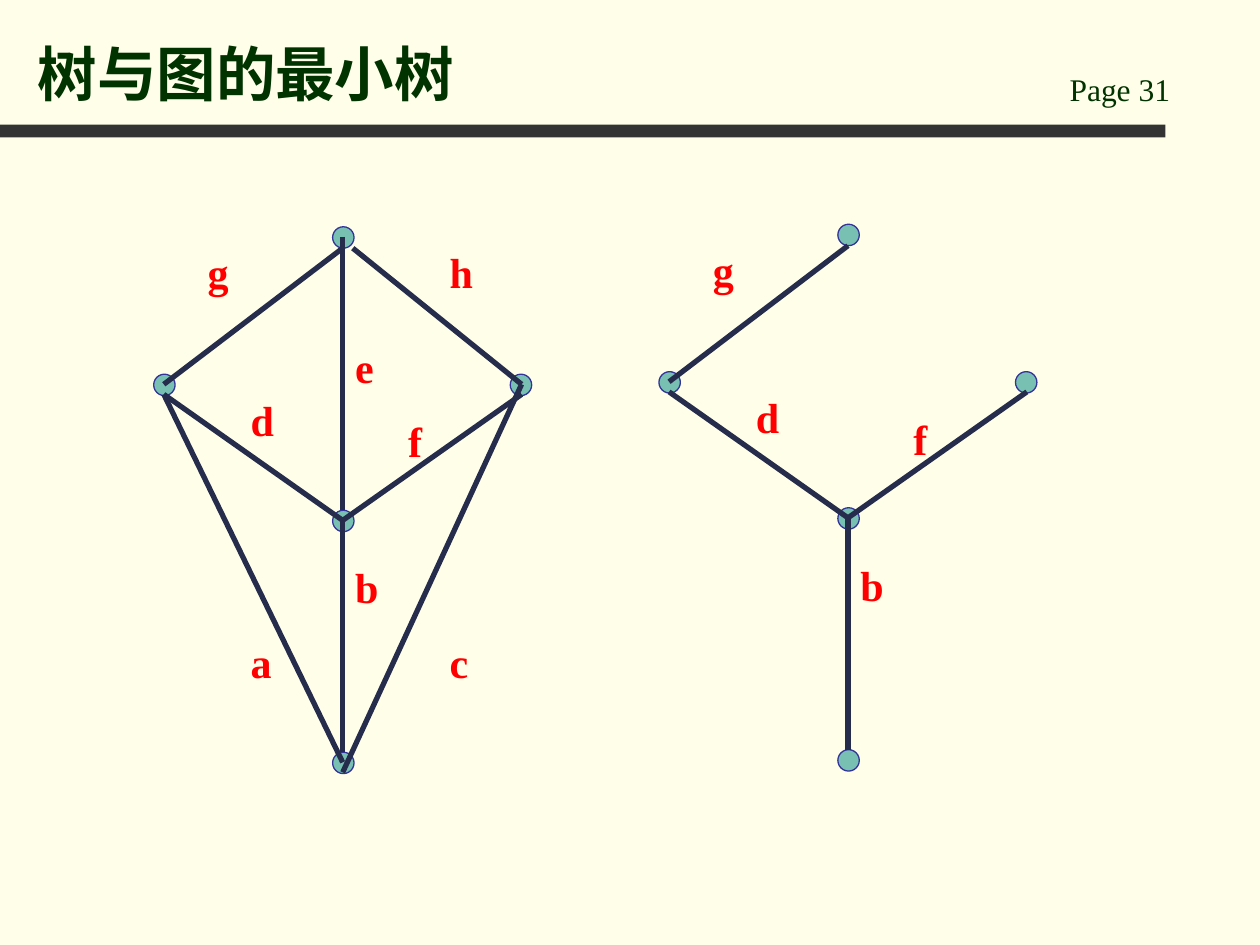
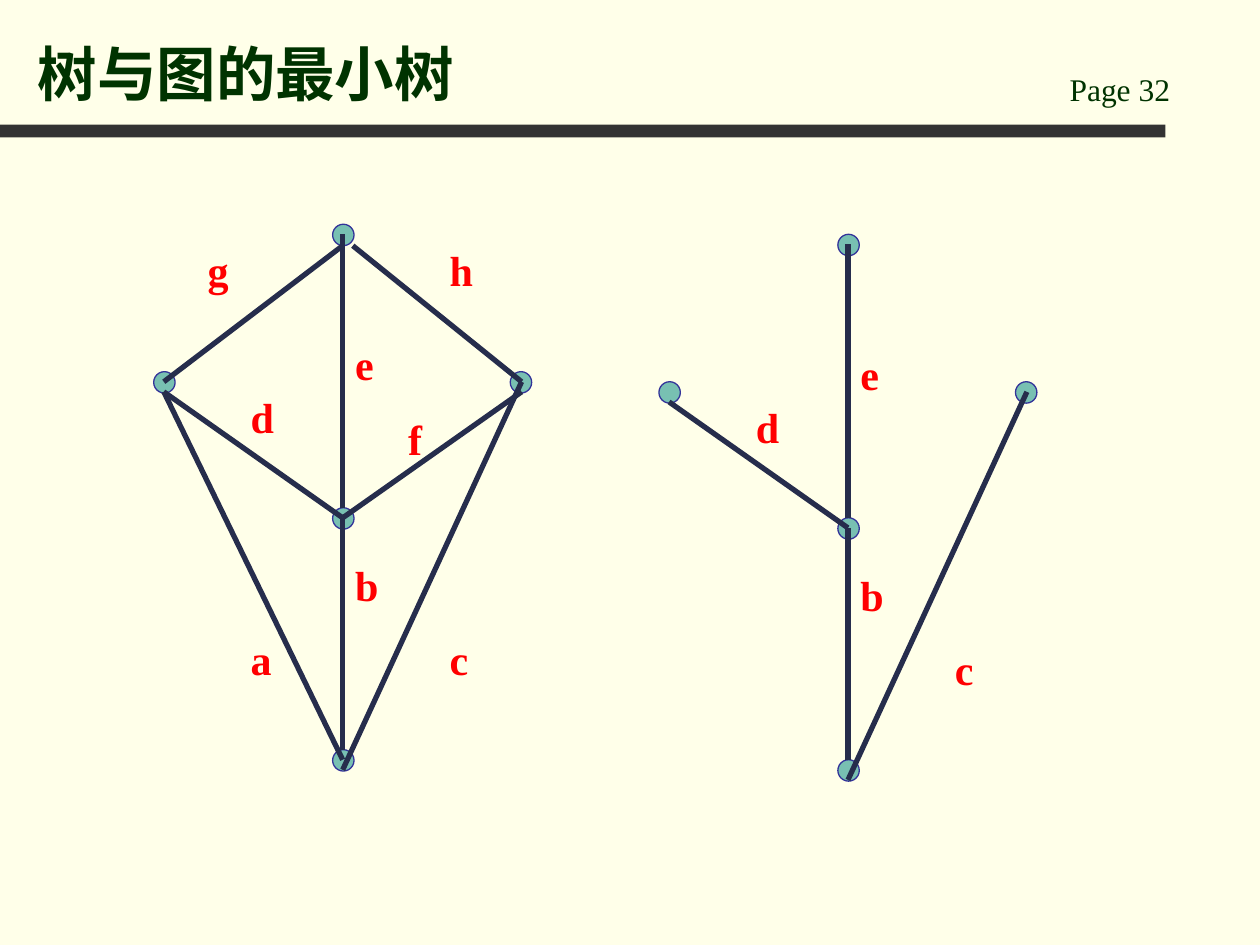
import pptx
import pptx.dml.color
import pptx.enum.shapes
import pptx.enum.text
import pptx.oxml.ns
import pptx.util
from lxml import etree

Inches = pptx.util.Inches
Pt = pptx.util.Pt
RGBColor = pptx.dml.color.RGBColor
Shape = pptx.enum.shapes.MSO_SHAPE

BACKGROUND = RGBColor(0xFF, 0xFF, 0xE9)
BAND = RGBColor(0x33, 0x33, 0x33)
HEADING = RGBColor(0x00, 0x33, 0x00)
NODE_FILL = RGBColor(0x78, 0xC0, 0xB2)
NODE_LINE = RGBColor(0x33, 0x33, 0x99)
EDGE = RGBColor(0x26, 0x2D, 0x4C)
LABEL = RGBColor(0xFF, 0x00, 0x00)
FONT = "Times New Roman"

TITLE = "树与图的最小树"
NODE_SIZE = 0.17
NODES = [(1.42, 0), (2.83, 1.17), (0, 1.17), (1.42, 2.25), (1.42, 4.17)]
EDGES = {
    "g": ((0.08, 1.25), (1.5, 0.17)),
    "h": ((1.58, 0.17), (2.92, 1.25)),
    "e": ((1.5, 0.08), (1.5, 2.25)),
    "d": ((0.08, 1.33), (1.5, 2.33)),
    "f": ((2.92, 1.33), (1.5, 2.33)),
    "b": ((1.5, 2.33), (1.5, 4.17)),
    "a": ((0.08, 1.33), (1.5, 4.25)),
    "c": ((2.92, 1.25), (1.5, 4.33)),
}
LABELS = {
    "a": (0.67, 3.17), "b": (1.5, 2.58), "c": (2.25, 3.17), "f": (1.92, 1.42),
    "e": (1.5, 0.83), "d": (0.67, 1.25), "h": (2.25, 0.08), "g": (0.33, 0.08),
}
GRAPH_LEFT = 1.22
TREE_LEFT = 5.23
ALL_EDGES = "ghedfbac"
PAGES = [
    (31, [(GRAPH_LEFT, 1.8, ALL_EDGES), (TREE_LEFT, 1.78, "gdfb")]),
    (32, [(TREE_LEFT, 1.86, "edbc"), (GRAPH_LEFT, 1.78, ALL_EDGES)]),
]


class Deck:
    """Holds the shared style and the current slide, and draws each kind of element."""

    def __init__(self):
        self.presentation = pptx.Presentation()
        self.presentation.slide_width = Inches(10)
        self.presentation.slide_height = Inches(7.5)
        fill = self.presentation.slide_master.background.fill
        fill.solid()
        fill.fore_color.rgb = BACKGROUND
        self.slide = None

    def start_slide(self, title, page):
        layout = self.presentation.slide_layouts.get_by_name("Title Only")
        self.slide = self.presentation.slides.add_slide(layout)
        shapes = self.slide.shapes
        self.shape(shapes, Shape.RECTANGLE, 0, 0.99, 9.25, 0.1, BAND)
        self.text(shapes, f"Page {page}", 8.39, 0.51, 1.42, 0.4, 18, HEADING)
        heading = shapes.title
        heading.left, heading.top = Inches(0.2), Inches(0.13)
        heading.width, heading.height = Inches(8.03), Inches(0.78)
        heading.text_frame.auto_size = pptx.enum.text.MSO_AUTO_SIZE.NONE
        heading.text_frame.vertical_anchor = pptx.enum.text.MSO_ANCHOR.BOTTOM
        self.fill_frame(heading.text_frame, title, 34, HEADING, True)

    def fill_frame(self, frame, text, size, color, bold):
        frame.text = text
        paragraph = frame.paragraphs[0]
        paragraph.alignment = pptx.enum.text.PP_ALIGN.LEFT
        paragraph.font.name = FONT
        paragraph.font.size = Pt(size)
        paragraph.font.bold = bold
        paragraph.font.color.rgb = color

    def text(self, shapes, text, left, top, width, height, size, color,
             bold=False, top_margin=0.05):
        box = shapes.add_textbox(Inches(left), Inches(top), Inches(width), Inches(height))
        frame = box.text_frame
        frame.word_wrap = True
        frame.margin_top = Inches(top_margin)
        self.fill_frame(frame, text, size, color, bold)

    def shape(self, shapes, kind, left, top, width, height, fill, line=None):
        shape = shapes.add_shape(kind, Inches(left), Inches(top), Inches(width), Inches(height))
        shape.shadow.inherit = False
        shape.fill.solid()
        shape.fill.fore_color.rgb = fill
        if line is None:
            shape.line.fill.background()
        else:
            shape.line.color.rgb = line
            shape.line.width = Pt(0.75)

    def edge(self, shapes, start_x, start_y, end_x, end_y):
        connector = shapes.add_connector(
            pptx.enum.shapes.MSO_CONNECTOR.STRAIGHT,
            Inches(start_x), Inches(start_y), Inches(end_x), Inches(end_y))
        connector.line.color.rgb = EDGE
        connector.line.width = Pt(3)
        properties = connector._element.spPr
        etree.SubElement(properties, pptx.oxml.ns.qn("a:effectLst"))

    def graph(self, left, top, names):
        shapes = self.slide.shapes.add_group_shape().shapes
        for x, y in NODES:
            self.shape(shapes, Shape.OVAL, left + x, top + y,
                       NODE_SIZE, NODE_SIZE, NODE_FILL, NODE_LINE)
        for name in names:
            (start_x, start_y), (end_x, end_y) = EDGES[name]
            self.edge(shapes, left + start_x, top + start_y, left + end_x, top + end_y)
        for name in names:
            x, y = LABELS[name]
            self.text(shapes, name, left + x, top + y, 0.42, 0.5, 24, LABEL,
                      bold=True, top_margin=0.08)


def main():
    deck = Deck()
    for page, graphs in PAGES:
        deck.start_slide(TITLE, page)
        for left, top, names in graphs:
            deck.graph(left, top, names)
    deck.presentation.save("out.pptx")


if __name__ == "__main__":
    main()
